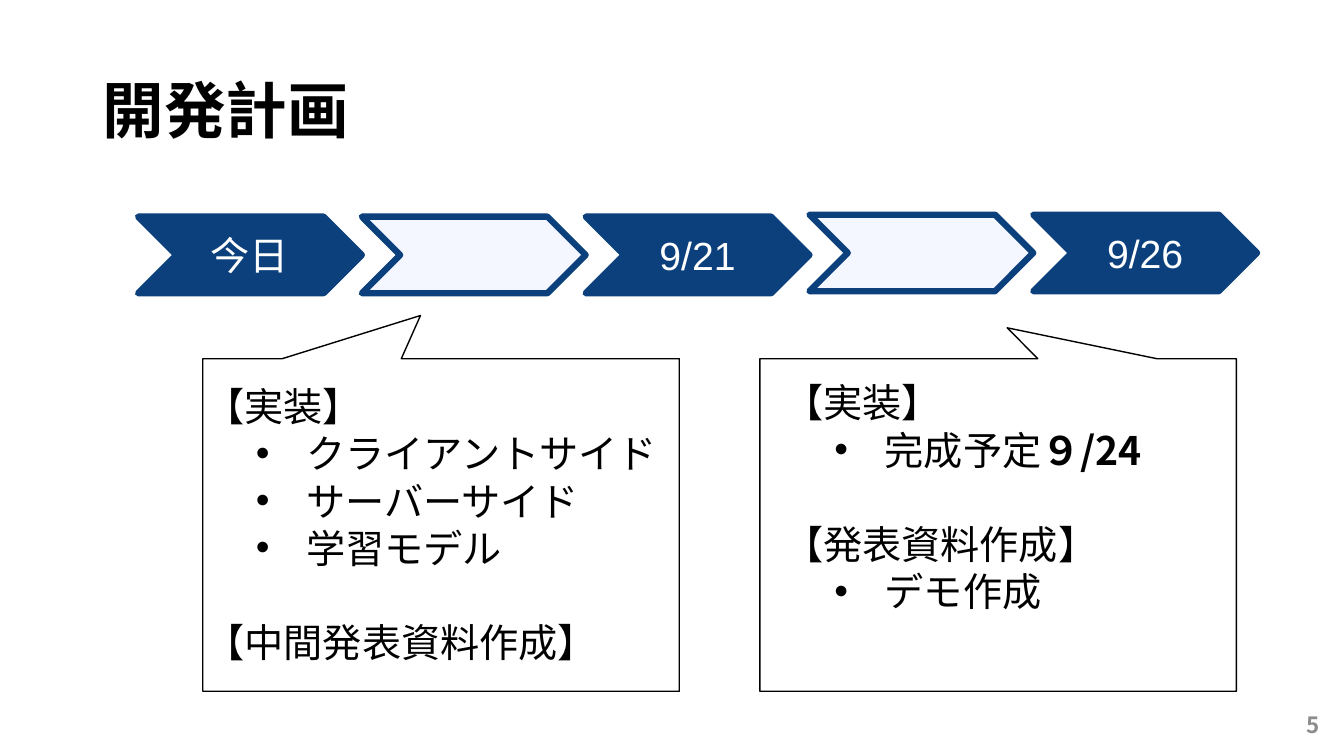
"""Build the development plan slide with a chevron timeline and two callouts."""
from lxml.etree import SubElement
from pptx import Presentation
from pptx.dml.color import RGBColor
from pptx.enum.shapes import MSO_SHAPE
from pptx.enum.text import MSO_ANCHOR, PP_ALIGN
from pptx.oxml.ns import qn
from pptx.util import Cm, Pt

NAVY = RGBColor(0x0B, 0x40, 0x7C)
PALE = RGBColor(0xF4, 0xF7, 0xFF)
WHITE = RGBColor(0xFF, 0xFF, 0xFF)
BLACK = RGBColor(0, 0, 0)
GRAY = RGBColor(0x8C, 0x8C, 0x8C)
JAPANESE, LATIN = "Noto Sans CJK JP", "Arial"

TITLE = "開発計画"
PAGE = "5"
STEPS = [("今日", 5.46), ("", 5.46), ("9/21", 5.46), ("", 5.41), ("9/26", 5.41)]
PLANS = [
    {
        "callout_left": 5.11, "pointer": (-0.043, -0.63), "text_box": (4.93, 9.52, 12.07, 7.44),
        "sections": [
            ("【実装】", [("クライアントサイド", ""), ("サーバーサイド", ""), ("学習モデル", "")]),
            ("【中間発表資料作成】", []),
        ],
    },
    {
        "callout_left": 19.15, "pointer": (0.019, -0.593), "text_box": (19.51, 9.42, 10.01, 6.25),
        "sections": [
            ("【実装】", [("完成予定", "９/24")]),
            ("【発表資料作成】", [("デモ作成", "")]),
        ],
    },
]
STEP_LEFT, STEP_WIDTH, STEP_HEIGHT = 3.48, 5.64, 1.93
CALLOUT_TOP, CALLOUT_WIDTH, CALLOUT_HEIGHT = 9.04, 12.01, 8.38
LINE_HEIGHT = Pt(33.6)


def add_run(paragraph, text, size=28, color=BLACK, font=JAPANESE, bold=False):
    run = paragraph.add_run()
    run.text = text
    for name, value in {"size": Pt(size), "bold": bold, "name": font}.items():
        setattr(run.font, name, value)
    run.font.color.rgb = color
    SubElement(run.font._element, qn("a:ea"), typeface=JAPANESE)


def add_frame(box, anchor=MSO_ANCHOR.TOP):
    frame = slide.shapes.add_textbox(*map(Cm, box)).text_frame
    for name, value in {"word_wrap": True, "vertical_anchor": anchor}.items():
        setattr(frame, name, value)
    return frame


def add_shape(kind, box, line_color, line_width, fill=None):
    shape = slide.shapes.add_shape(kind, *map(Cm, box))
    shape.shadow.inherit = False
    if fill is None:
        shape.fill.background()
    else:
        shape.fill.solid()
        shape.fill.fore_color.rgb = fill
    shape.line.color.rgb = line_color
    shape.line.width = Pt(line_width)
    return shape


def add_sections(frame, sections):
    paragraph = frame.paragraphs[0]
    for number, (heading, items) in enumerate(sections):
        if number:
            paragraph = frame.add_paragraph()
            paragraph.space_before = LINE_HEIGHT
        add_run(paragraph, heading)
        for plain, strong in items:
            item = frame.add_paragraph()
            item.level = 1
            properties = item._p.get_or_add_pPr()
            properties.set("marL", str(Cm(2.54)))
            properties.set("indent", str(-Cm(1.27)))
            SubElement(properties, qn("a:buFont"), typeface=LATIN)
            SubElement(properties, qn("a:buChar"), char="•")
            add_run(item, plain)
            if strong:
                add_run(item, strong, bold=True)


presentation = Presentation()
presentation.slide_width, presentation.slide_height = Cm(33.87), Cm(19.05)
slide = presentation.slides.add_slide(presentation.slide_layouts[6])

title = add_frame((2.34, 1.02, 29.21, 3.68), MSO_ANCHOR.MIDDLE).paragraphs[0]
title.line_spacing = 0.9
add_run(title, TITLE, 44, bold=True)

page = add_frame((25.88, 17.75, 7.62, 1.02), MSO_ANCHOR.MIDDLE).paragraphs[0]
page.alignment = PP_ALIGN.RIGHT
add_run(page, PAGE, 16, GRAY, bold=True)

for position, (step, top) in enumerate(STEPS):
    box = (STEP_LEFT + position * STEP_WIDTH, top, STEP_WIDTH, STEP_HEIGHT)
    chevron = add_shape(MSO_SHAPE.CHEVRON, box, NAVY, 4.5, NAVY if step else PALE)
    if step:
        chevron.text_frame.vertical_anchor = MSO_ANCHOR.MIDDLE
        label = chevron.text_frame.paragraphs[0]
        label.alignment = PP_ALIGN.CENTER
        add_run(label, step, color=WHITE, font=LATIN)

for plan in PLANS:
    add_sections(add_frame(plan["text_box"]), plan["sections"])
    box = (plan["callout_left"], CALLOUT_TOP, CALLOUT_WIDTH, CALLOUT_HEIGHT)
    callout = add_shape(MSO_SHAPE.RECTANGULAR_CALLOUT, box, BLACK, 1)
    for index, offset in enumerate(plan["pointer"]):
        callout.adjustments[index] = offset

presentation.save("out.pptx")
